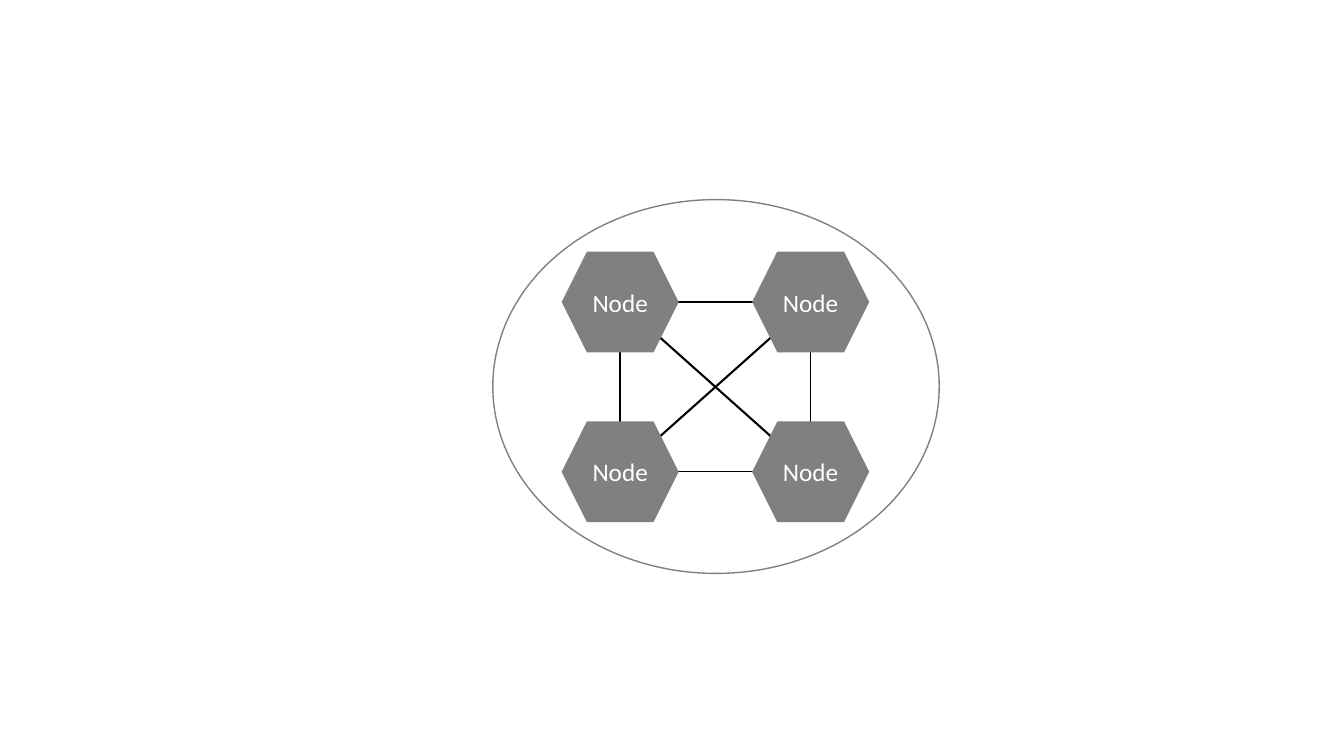
from itertools import product

from lxml.etree import SubElement
from pptx import Presentation
from pptx.dml.color import RGBColor
from pptx.enum.shapes import MSO_CONNECTOR, MSO_SHAPE
from pptx.enum.text import MSO_ANCHOR, PP_ALIGN
from pptx.oxml.ns import qn
from pptx.util import Cm, Pt

BLACK = RGBColor(0x00, 0x00, 0x00)
GRAY = RGBColor(0x80, 0x80, 0x80)
WHITE = RGBColor(0xFF, 0xFF, 0xFF)

# Node centres and size, in cm
LEFT, RIGHT = 15.63, 20.43
TOP, BOTTOM = 7.61, 11.89
NODE_W, NODE_H = 2.95, 2.54


def add_outline(s, kind, x, y, w, h, color):
    """Add an unfilled shape with a thin outline."""
    sp = s.shapes.add_shape(kind, Cm(x), Cm(y), Cm(w), Cm(h))
    sp.shadow.inherit = False
    sp.fill.background()
    sp.line.color.rgb = color
    sp.line.width = Pt(1)


prs = Presentation()
prs.slide_width = Cm(33.87)
prs.slide_height = Cm(19.05)
s = prs.slides.add_slide(prs.slide_layouts[6])

# Links along the sides of the mesh
add_outline(s, MSO_SHAPE.RECTANGLE, LEFT, TOP, RIGHT - LEFT, BOTTOM - TOP, BLACK)

# Diagonal links
for y1, y2 in ((BOTTOM, TOP), (TOP, BOTTOM)):
    link = s.shapes.add_connector(
        MSO_CONNECTOR.STRAIGHT, Cm(LEFT), Cm(y1), Cm(RIGHT), Cm(y2))
    link.line.color.rgb = BLACK
    link.line.width = Pt(1.5)
    SubElement(link._element.spPr, qn("a:effectLst"))

# Nodes
for x, y in product((LEFT, RIGHT), (TOP, BOTTOM)):
    sp = s.shapes.add_shape(
        MSO_SHAPE.HEXAGON, Cm(x - NODE_W / 2), Cm(y - NODE_H / 2),
        Cm(NODE_W), Cm(NODE_H))
    sp.shadow.inherit = False
    sp.fill.solid()
    sp.fill.fore_color.rgb = GRAY
    sp.line.fill.background()
    tf = sp.text_frame
    tf.word_wrap = False
    tf.vertical_anchor = MSO_ANCHOR.MIDDLE
    p = tf.paragraphs[0]
    p.alignment = PP_ALIGN.CENTER
    r = p.add_run()
    r.text = "Node"
    r.font.name = "Calibri"
    r.font.size = Pt(18)
    r.font.color.rgb = WHITE

# Cluster boundary
add_outline(s, MSO_SHAPE.OVAL, 12.42, 5.03, 11.25, 9.42, GRAY)

prs.save("out.pptx")
